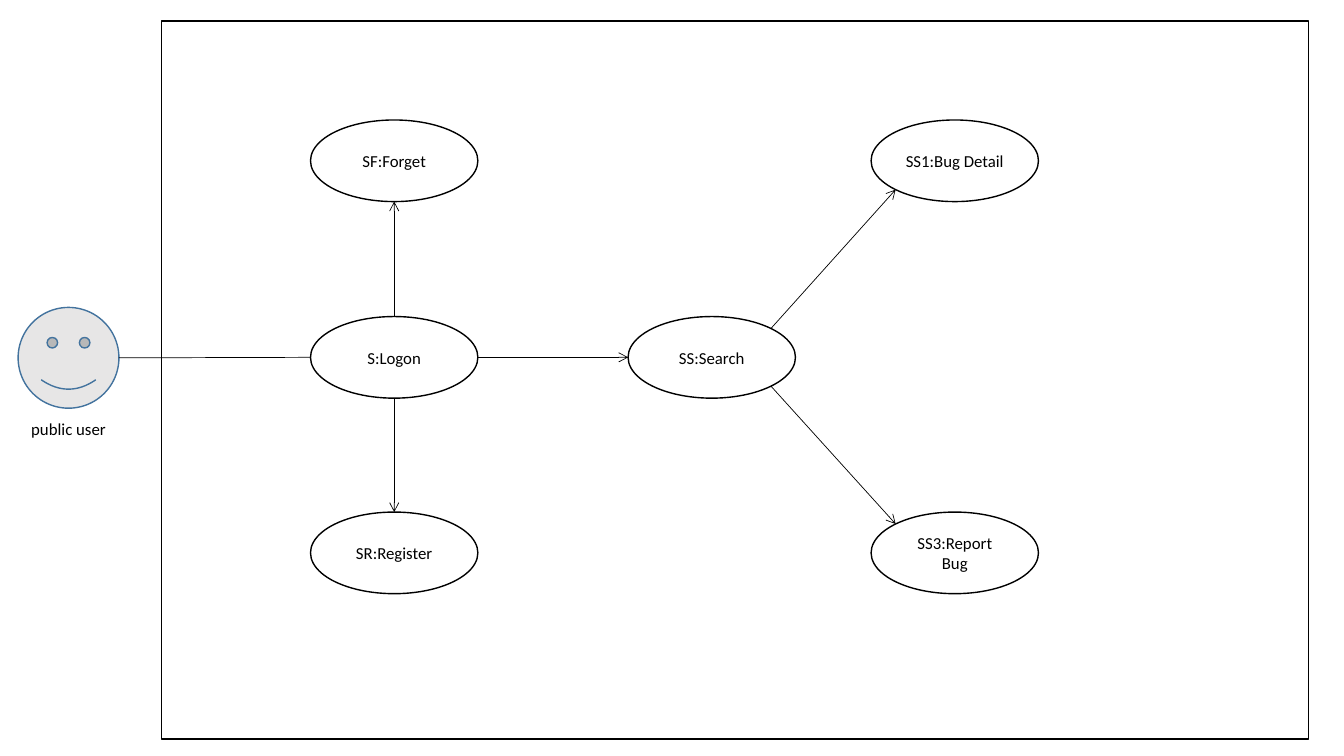
from math import sqrt

from lxml import etree
from pptx import Presentation
from pptx import util as u
from pptx.dml import color
from pptx.enum import shapes, text
from pptx.oxml import ns

COLOURS = {"ink": "000000", "face": "E7E6E6", "face_line": "43739E"}
FONT = {"name": "Calibri", "size": u.Pt(12)}
CENTRED = {"vertical_anchor": text.MSO_ANCHOR.MIDDLE, "word_wrap": True}
UNWRAPPED = {"auto_size": text.MSO_AUTO_SIZE.SHAPE_TO_FIT_TEXT, "word_wrap": False}

CASE_WIDTH, CASE_HEIGHT = 1.66, 0.81
COLUMNS = (1.48, 4.63, 7.04)
ROWS = (0.98, 2.93, 4.87)
USE_CASES = {
    "SF:Forget": (0, 0),
    "S:Logon": (0, 1),
    "SR:Register": (0, 2),
    "SS:Search": (1, 1),
    "SS1:Bug Detail": (2, 0),
    "SS3:Report Bug": (2, 2),
}
DIAGONAL = sqrt(0.5)
FLOWS = (
    ("S:Logon", (0, -1), "SF:Forget", (0, 1)),
    ("S:Logon", (0, 1), "SR:Register", (0, -1)),
    ("S:Logon", (1, 0), "SS:Search", (-1, 0)),
    ("SS:Search", (DIAGONAL, -DIAGONAL), "SS1:Bug Detail", (-DIAGONAL, DIAGONAL)),
    ("SS:Search", (DIAGONAL, DIAGONAL), "SS3:Report Bug", (-DIAGONAL, -DIAGONAL)),
)


def apply(target, values):
    """Set every format value on the target."""
    for name, value in values.items():
        setattr(target, name, value)


def rgb(name):
    """Return the named colour."""
    return color.RGBColor.from_string(COLOURS[name])


def add_outlined(slide, kind, box, line="ink", fill=None):
    """Add a preset shape with a thin outline and an optional fill."""
    outlined = slide.shapes.add_shape(kind, *map(u.Inches, box))
    outlined.shadow.inherit = False
    if fill:
        outlined.fill.solid()
        outlined.fill.fore_color.rgb = rgb(fill)
    else:
        outlined.fill.background()
    outlined.line.color.rgb = rgb(line)
    outlined.line.width = u.Pt(1)
    return outlined


def write(frame, wording, layout):
    """Write one centred line of wording into a text frame."""
    apply(frame, layout)
    paragraph = frame.paragraphs[0]
    paragraph.alignment = text.PP_ALIGN.CENTER
    run = paragraph.add_run()
    run.text = wording
    apply(run.font, FONT)
    run.font.color.rgb = rgb("ink")


def add_link(slide, start, end, arrow=True):
    """Join two points with a thin line, with an open arrowhead if wanted."""
    link = slide.shapes.add_connector(
        shapes.MSO_CONNECTOR.STRAIGHT, *map(u.Inches, start + end))
    link.line.color.rgb = rgb("ink")
    link.line.width = u.Pt(0.5)
    if arrow:
        etree.SubElement(link.line._get_or_add_ln(), ns.qn("a:tailEnd"), type="arrow")
    etree.SubElement(link._element.spPr, ns.qn("a:effectLst"))


def rim(case, direction):
    """Return the point on a use case's rim in the given direction."""
    left, top, width, height = case
    across, down = direction
    return left + width / 2 * (1 + across), top + height / 2 * (1 + down)


def add_system(slide, box):
    """Draw the system boundary, its use cases and flows; return the case boxes."""
    add_outlined(slide, shapes.MSO_SHAPE.RECTANGLE, box)
    cases = {}
    for name, (column, row) in USE_CASES.items():
        cases[name] = (box[0] + COLUMNS[column], box[1] + ROWS[row],
                       CASE_WIDTH, CASE_HEIGHT)
        use_case = add_outlined(slide, shapes.MSO_SHAPE.OVAL, cases[name])
        write(use_case.text_frame, name, CENTRED)
    for source, leaving, target, arriving in FLOWS:
        add_link(slide, rim(cases[source], leaving), rim(cases[target], arriving))
    return cases


def add_actor(slide, box, name):
    """Draw the actor's face with the name below; return the point at its right."""
    left, top, width, height = box
    add_outlined(slide, shapes.MSO_SHAPE.SMILEY_FACE, box, "face_line", "face")
    caption = slide.shapes.add_textbox(
        *map(u.Inches, (left + 0.03, top + height + 0.06, width - 0.06, 0.3)))
    write(caption.text_frame, name, UNWRAPPED)
    return left + width, top + height / 2


def main():
    """Build the use case slide and save it."""
    deck = Presentation()
    apply(deck, {"slide_width": u.Inches(13.33), "slide_height": u.Inches(7.5)})
    slide = deck.slides.add_slide(deck.slide_layouts[6])
    cases = add_system(slide, (1.6, 0.21, 11.38, 7.12))
    hand = add_actor(slide, (0.18, 3.05, 1, 1), "public user")
    add_link(slide, hand, rim(cases["S:Logon"], (-1, 0)), arrow=False)
    deck.save("out.pptx")


if __name__ == "__main__":
    main()
